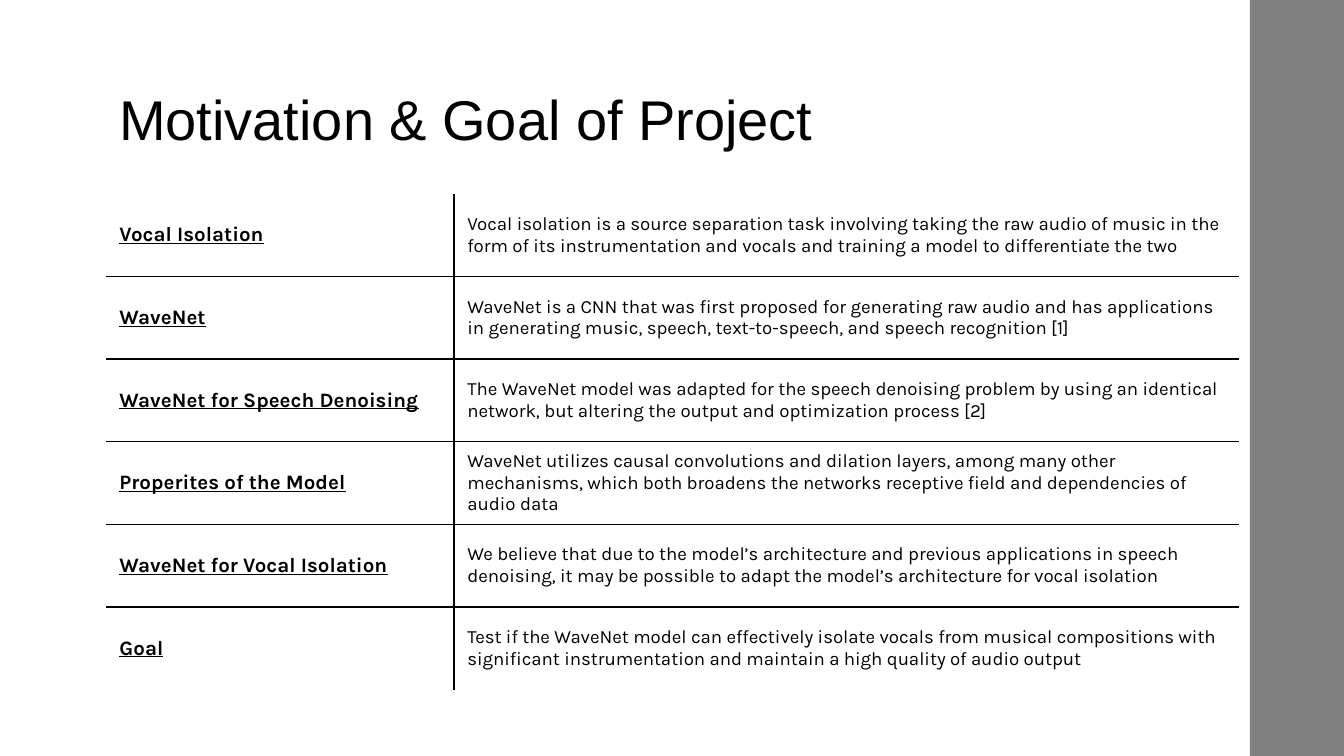
from pptx import Presentation
from pptx.dml.color import RGBColor
from pptx.enum.shapes import MSO_SHAPE as Preset
from pptx.enum.text import MSO_ANCHOR as Anchor
from pptx.oxml.ns import qn
from pptx.util import Pt
from lxml.etree import SubElement

TOPICS = [
    ("Vocal Isolation",
     "Vocal isolation is a source separation task involving taking the raw audio of music in the "
     "form of its instrumentation and vocals and training a model to differentiate the two"),
    ("WaveNet",
     "WaveNet is a CNN that was first proposed for generating raw audio and has applications "
     "in generating music, speech, text-to-speech, and speech recognition [1]"),
    ("WaveNet for Speech Denoising",
     "The WaveNet model was adapted for the speech denoising problem by using an identical "
     "network, but altering the output and optimization process [2]"),
    ("Properites of the Model",
     "WaveNet utilizes causal convolutions and dilation layers, among many other "
     "mechanisms, which both broadens the networks receptive field and dependencies of "
     "audio data"),
    ("WaveNet for Vocal Isolation",
     "We believe that due to the model’s architecture and previous applications in speech "
     "denoising, it may be possible to adapt the model’s architecture for vocal isolation"),
    ("Goal",
     "Test if the WaveNet model can effectively isolate vocals from musical compositions with "
     "significant instrumentation and maintain a high quality of audio output"),
]


def color(value):
    return RGBColor.from_string(value)


def write(frame, text, size, font, ink, bold=False, underline=False):
    frame.word_wrap = True
    run = frame.paragraphs[0].add_run()
    run.text = text
    run.font.size = Pt(size)
    run.font.name = font
    run.font.bold = bold
    run.font.underline = underline
    run.font.color.rgb = color(ink)


class TopicSlide:
    ink = "000000"
    band_fill = "808080"
    title_font = "Arial"
    body_font = "Karla"
    inset = Pt(7.2)
    rule = Pt(0.75)

    def __init__(self, deck):
        self.slide = deck.slides.add_slide(deck.slide_layouts[6])

    def title(self, text, left, top, width, height):
        frame = self.slide.shapes.add_textbox(Pt(left), Pt(top), Pt(width), Pt(height)).text_frame
        frame.margin_left = frame.margin_right = self.inset
        frame.margin_top = frame.margin_bottom = self.inset
        write(frame, text, 30, self.title_font, self.ink)

    def band(self, left, top, width, height):
        band = self.slide.shapes.add_shape(Preset.RECTANGLE, Pt(left), Pt(top), Pt(width), Pt(height))
        band.shadow.inherit = False
        band.fill.solid()
        band.fill.fore_color.rgb = color(self.band_fill)
        band.line.fill.background()

    def border(self, cell, side, visible):
        line = SubElement(cell._tc.get_or_add_tcPr(), qn(f"a:ln{side}"), w=str(self.rule))
        if visible:
            SubElement(SubElement(line, qn("a:solidFill")), qn("a:srgbClr"), val=self.ink)
        else:
            SubElement(line, qn("a:noFill"))

    def table(self, topics, left, top, widths, row_height):
        grid = self.slide.shapes.add_table(
            len(topics), len(widths), Pt(left), Pt(top),
            Pt(sum(widths)), Pt(row_height * len(topics))).table
        grid.first_row = grid.horz_banding = False
        for column, width in zip(grid.columns, widths):
            column.width = Pt(width)
        last_row, last_column = len(topics) - 1, len(widths) - 1
        for i, topic in enumerate(topics):
            grid.rows[i].height = Pt(row_height)
            for j, text in enumerate(topic):
                cell = grid.cell(i, j)
                inner = {"L": j > 0, "R": j < last_column, "T": i > 0, "B": i < last_row}
                for side, visible in inner.items():
                    self.border(cell, side, visible)
                cell.fill.background()
                cell.vertical_anchor = Anchor.MIDDLE
                cell.margin_left = cell.margin_right = self.inset
                cell.margin_top = cell.margin_bottom = 0
                heading = j == 0
                write(cell.text_frame, text, 11 if heading else 10, self.body_font, self.ink,
                      bold=heading, underline=heading)


def main():
    deck = Presentation()
    deck.slide_width, deck.slide_height = Pt(720), Pt(405)
    motivation = TopicSlide(deck)
    motivation.title("Motivation & Goal of Project", 56.8, 38, 607, 45)
    motivation.table(TOPICS, 56.8, 103.8, [186.4, 420.4], 44.3)
    motivation.band(669.6, -5, 50.4, 414)
    deck.save("out.pptx")


if __name__ == "__main__":
    main()
